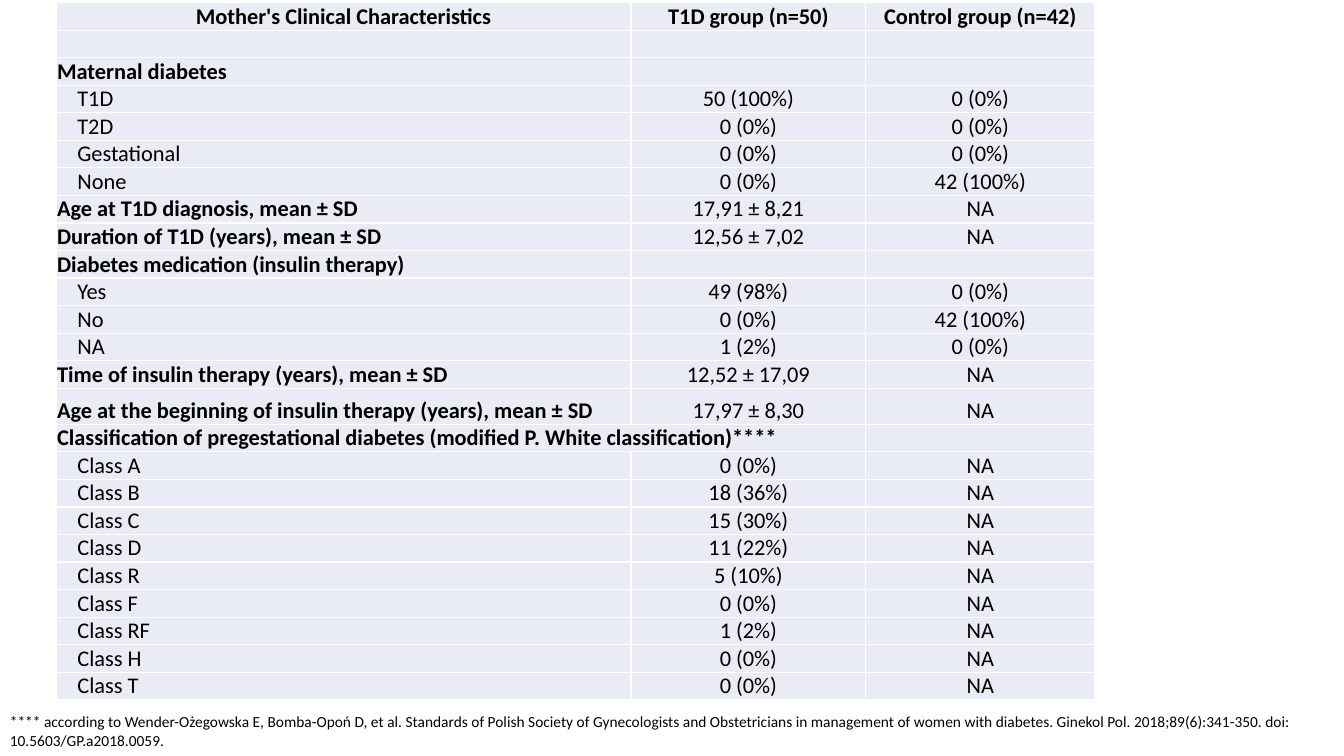
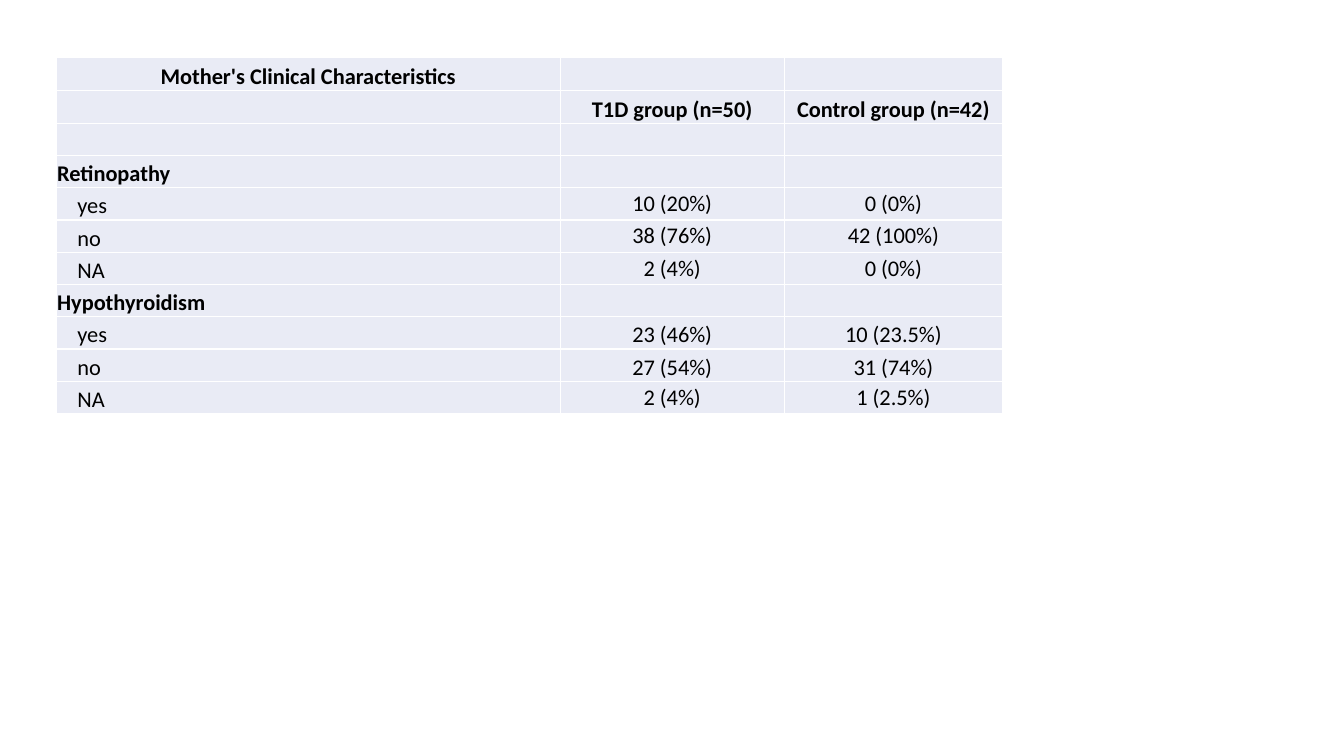
from lxml import etree
from pptx import Presentation
from pptx.dml.color import RGBColor
from pptx.enum.text import MSO_ANCHOR, PP_ALIGN
from pptx.oxml.ns import qn
from pptx.util import Cm, Pt

LEFT, CENTER = PP_ALIGN.LEFT, PP_ALIGN.CENTER
BOTTOM, MIDDLE = MSO_ANCHOR.BOTTOM, MSO_ANCHOR.MIDDLE
FONT = "Calibri"
BLACK, WHITE, CELL_FILL = "000000", "FFFFFF", "E9EBF5"
SLIDE_WIDTH, SLIDE_HEIGHT = 33.87, 19.05
TABLE_LEFT = 1.42
TABLE_SIZE, NOTE_SIZE = 16, 11
INDENT, CELL_MARGIN = 0.53, 0.02
BORDER_TAGS = ("a:lnL", "a:lnR", "a:lnT", "a:lnB")

HEADER, HEADING, ITEM = "header", "heading", "item"
TITLE = "Mother's Clinical Characteristics"
GROUPS = ("T1D group (n=50)", "Control group (n=42)")

DIABETES_ROWS = [
    (HEADER, TITLE, *GROUPS),
    (HEADER, "", "", ""),
    (HEADING, "Maternal diabetes", "", ""),
    (ITEM, "T1D", "50 (100%)", "0 (0%)"),
    (ITEM, "T2D", "0 (0%)", "0 (0%)"),
    (ITEM, "Gestational", "0 (0%)", "0 (0%)"),
    (ITEM, "None", "0 (0%)", "42 (100%)"),
    (HEADING, "Age at T1D diagnosis, mean ± SD", "17,91 ± 8,21", "NA"),
    (HEADING, "Duration of T1D (years), mean ± SD", "12,56 ± 7,02", "NA"),
    (HEADING, "Diabetes medication (insulin therapy)", "", ""),
    (ITEM, "Yes", "49 (98%)", "0 (0%)"),
    (ITEM, "No", "0 (0%)", "42 (100%)"),
    (ITEM, "NA", "1 (2%)", "0 (0%)"),
    (HEADING, "Time of insulin therapy (years), mean ± SD", "12,52 ± 17,09", "NA"),
    (HEADING, "Age at the beginning of insulin therapy (years), mean ± SD", "17,97 ± 8,30", "NA"),
    (HEADING, "Classification of pregestational diabetes (modified P. White classification)****", "", ""),
    (ITEM, "Class A", "0 (0%)", "NA"),
    (ITEM, "Class B", "18 (36%)", "NA"),
    (ITEM, "Class C", "15 (30%)", "NA"),
    (ITEM, "Class D", "11 (22%)", "NA"),
    (ITEM, "Class R", "5 (10%)", "NA"),
    (ITEM, "Class F", "0 (0%)", "NA"),
    (ITEM, "Class RF", "1 (2%)", "NA"),
    (ITEM, "Class H", "0 (0%)", "NA"),
    (ITEM, "Class T", "0 (0%)", "NA"),
]
BEGINNING_ROW, CLASSIFICATION_ROW = 14, 15

COMPLICATION_ROWS = [
    (HEADER, TITLE, "", ""),
    (HEADER, "", *GROUPS),
    (HEADER, "", "", ""),
    (HEADING, "Retinopathy", "", ""),
    (ITEM, "yes", "10 (20%)", "0 (0%)"),
    (ITEM, "no", "38 (76%)", "42 (100%)"),
    (ITEM, "NA", "2 (4%)", "0 (0%)"),
    (HEADING, "Hypothyroidism", "", ""),
    (ITEM, "yes", "23 (46%)", "10 (23.5%)"),
    (ITEM, "no", "27 (54%)", "31 (74%)"),
    (ITEM, "NA", "2 (4%)", "1 (2.5%)"),
]
MIDDLE_ROWS = (4, 5, 6, 10)

FOOTNOTE = (
    "**** according to Wender-Ożegowska E, Bomba-Opoń D, et al. Standards of Polish Society of "
    "Gynecologists and Obstetricians in management of women with diabetes. Ginekol Pol. "
    "2018;89(6):341-350. doi: 10.5603/GP.a2018.0059."
)


def color(value):
    return RGBColor.from_string(value)


def write_text(frame, text, size=TABLE_SIZE, bold=False, align=LEFT):
    paragraph = frame.paragraphs[0]
    paragraph.alignment = align
    if not text:
        etree.SubElement(paragraph._p, qn("a:endParaRPr"), sz=str(size * 100))
        return
    run = paragraph.add_run()
    run.text = text
    run.font.name = FONT
    run.font.size = Pt(size)
    run.font.bold = bold
    run.font.color.rgb = color(BLACK)


def add_borders(cell):
    properties = cell._tc.get_or_add_tcPr()
    for position, tag in enumerate(BORDER_TAGS):
        line = etree.Element(qn(tag), w=str(Pt(1)))
        fill = etree.SubElement(line, qn("a:solidFill"))
        etree.SubElement(fill, qn("a:srgbClr"), val=WHITE)
        properties.insert(position, line)


def fill_cell(cell, text, bold, align, indent, anchor):
    cell.margin_left = Cm(indent)
    cell.margin_right = Cm(CELL_MARGIN)
    cell.margin_top = cell.margin_bottom = 0
    cell.vertical_anchor = anchor
    cell.fill.solid()
    cell.fill.fore_color.rgb = color(CELL_FILL)
    add_borders(cell)
    write_text(cell.text_frame, text, bold=bold, align=align)


def add_clinical_table(slide, rows, top, height, widths, special_heights, middle_rows=()):
    shape = slide.shapes.add_table(
        len(rows), len(widths), Cm(TABLE_LEFT), Cm(top), Cm(sum(widths)), Cm(height)
    )
    table = shape.table
    table.first_row = False
    table.horz_banding = False
    for column, width in zip(table.columns, widths):
        column.width = Cm(width)
    plain_height = (height - sum(special_heights.values())) / (len(rows) - len(special_heights))
    for row_index, (kind, *texts) in enumerate(rows):
        table.rows[row_index].height = Cm(special_heights.get(row_index, plain_height))
        for column_index, text in enumerate(texts):
            is_label = column_index == 0
            fill_cell(
                table.cell(row_index, column_index),
                text,
                bold=kind == HEADER or (kind == HEADING and is_label),
                align=LEFT if is_label and kind != HEADER else CENTER,
                indent=INDENT if is_label and kind == ITEM else CELL_MARGIN,
                anchor=MIDDLE if row_index in middle_rows and not is_label else BOTTOM,
            )
    return table


def add_footnote(slide, left, top, width, height):
    box = slide.shapes.add_textbox(Cm(left), Cm(top), Cm(width), Cm(height))
    box.text_frame.word_wrap = True
    write_text(box.text_frame, FOOTNOTE, size=NOTE_SIZE)


def build_diabetes_slide(slide):
    table = add_clinical_table(
        slide, DIABETES_ROWS, 0.05, 17.6, (14.48, 5.92, 5.77), {0: 0.71, BEGINNING_ROW: 0.91}
    )
    table.cell(CLASSIFICATION_ROW, 0).merge(table.cell(CLASSIFICATION_ROW, 1))
    add_footnote(slide, 0, 17.83, SLIDE_WIDTH, 1.19)


def build_complications_slide(slide):
    add_clinical_table(
        slide, COMPLICATION_ROWS, 1.45, 8.97, (12.7, 5.64, 5.51), {0: 0.84}, MIDDLE_ROWS
    )


def main():
    presentation = Presentation()
    presentation.slide_width = Cm(SLIDE_WIDTH)
    presentation.slide_height = Cm(SLIDE_HEIGHT)
    blank_layout = presentation.slide_layouts[6]
    for build_slide in (build_diabetes_slide, build_complications_slide):
        build_slide(presentation.slides.add_slide(blank_layout))
    presentation.save("out.pptx")


if __name__ == "__main__":
    main()
